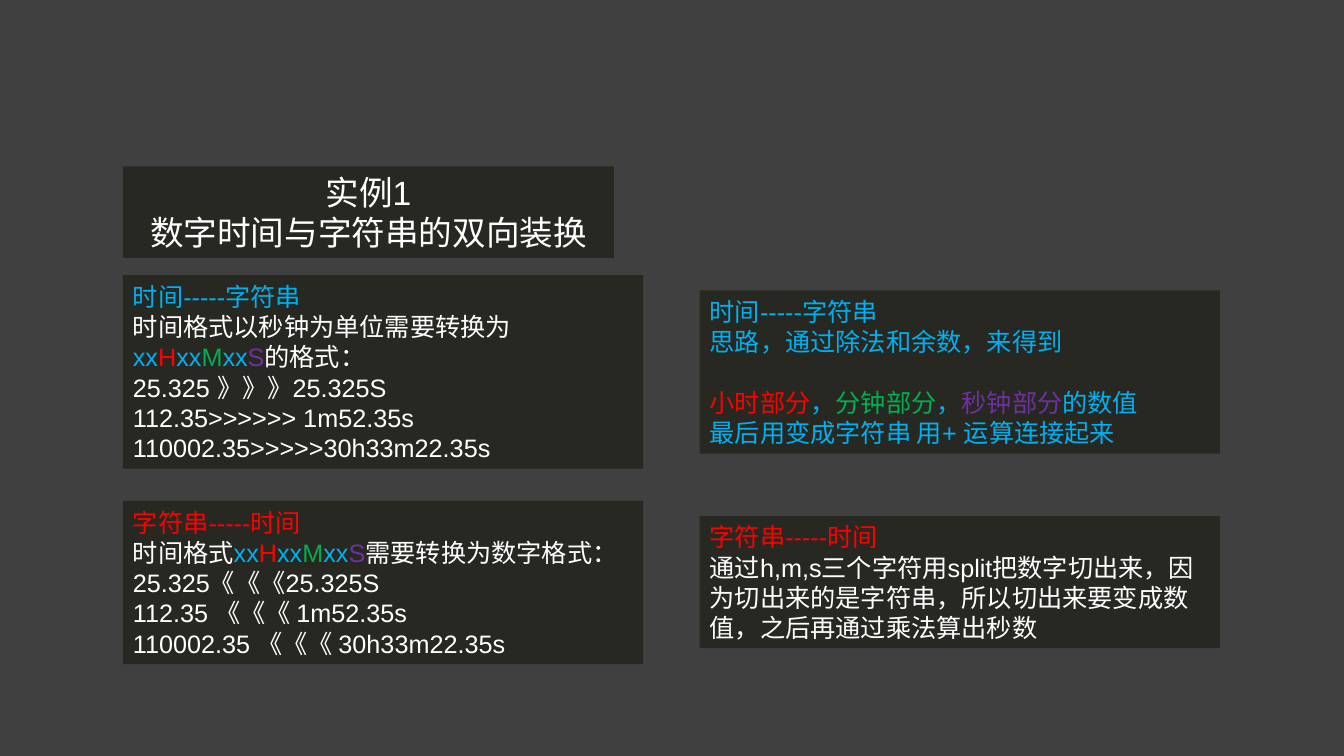
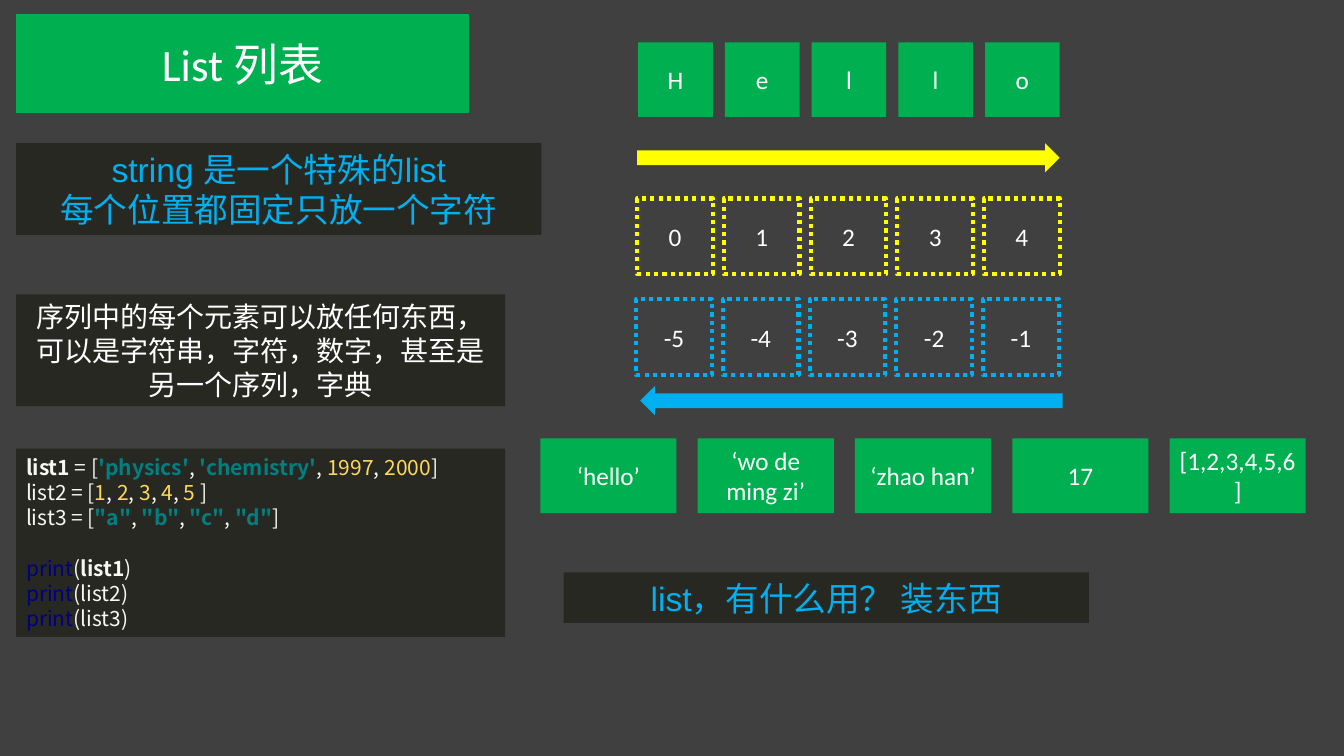
"""Build two slides on time strings and Python lists."""
from dataclasses import dataclass

from pptx import Presentation
from pptx.dml.color import RGBColor
from pptx.enum import dml, shapes, text
from pptx.util import Inches, Pt


@dataclass(frozen=True)
class Theme:
    """Colours, fonts and type sizes shared by the slides."""
    background: str = "404040"
    panel: str = "272822"
    white: str = "FFFFFF"
    blue: str = "00B0F0"
    red: str = "FF0000"
    green: str = "00B050"
    purple: str = "7030A0"
    yellow: str = "FFFF00"
    code: str = "F8F8F2"
    string: str = "008080"
    number: str = "FFD85B"
    keyword: str = "000080"
    heading_font: str = "Arial"
    body_font: str = "Calibri"
    code_font: str = "Noto Sans CJK SC"
    title_size: int = 32
    heading_size: int = 24
    note_size: int = 20
    body_size: int = 18
    code_size: int = 15
    line_factor: float = 1.2


THEME = Theme()
CENTER, LEFT = text.PP_ALIGN.CENTER, text.PP_ALIGN.LEFT
RECTANGLE, ARROW = shapes.MSO_SHAPE.RECTANGLE, shapes.MSO_SHAPE.RIGHT_ARROW
TIME_FORMAT = [("xx", THEME.blue), ("H", THEME.red), ("xx", THEME.blue),
               ("M", THEME.green), ("xx", THEME.blue), ("S", THEME.purple)]


def colour(value):
    """Turn a hex string into a colour."""
    return RGBColor.from_string(value)


def add_block(slide, box, fill=None, outline=None, kind=RECTANGLE):
    """Add a flat shape with an optional fill or dotted outline."""
    shape = slide.shapes.add_shape(kind, *map(Inches, box))
    shape.shadow.inherit = False
    if fill:
        shape.fill.solid()
        shape.fill.fore_color.rgb = colour(fill)
    else:
        shape.fill.background()
    if outline:
        shape.line.color.rgb = colour(outline)
        shape.line.width = Pt(3)
        shape.line.dash_style = dml.MSO_LINE.ROUND_DOT
    else:
        shape.line.fill.background()
    return shape


def format_run(run, font, size, ink, bold=False):
    """Apply type settings to one run."""
    run.font.name = font
    run.font.size = Pt(size)
    run.font.bold = bold
    run.font.color.rgb = colour(ink)


def add_label(slide, box, label, size=THEME.body_size, fill=None, outline=None):
    """Add a block with one centred white label."""
    frame = add_block(slide, box, fill, outline).text_frame
    frame.word_wrap = True
    frame.vertical_anchor = text.MSO_ANCHOR.MIDDLE
    frame.text = label
    paragraph = frame.paragraphs[0]
    paragraph.alignment = CENTER
    format_run(paragraph.runs[0], THEME.body_font, size, THEME.white)


def add_panel(slide, box, lines, size=THEME.body_size, font=THEME.heading_font,
              align=LEFT, gap_before=None):
    """Add a dark panel; each line is a list of (text, colour, bold) runs."""
    frame = add_block(slide, box, THEME.panel).text_frame
    frame.word_wrap = True
    frame.vertical_anchor = text.MSO_ANCHOR.MIDDLE
    pitch = Pt(size * THEME.line_factor)
    for index, runs in enumerate(lines):
        paragraph = frame.add_paragraph() if index else frame.paragraphs[0]
        paragraph.alignment = align
        paragraph.line_spacing = pitch
        if index == gap_before:
            paragraph.space_before = pitch
        for content, *style in runs:
            run = paragraph.add_run()
            run.text = content
            format_run(run, font, size, *style)


def plain(ink, *lines):
    """Give every line one run in the same colour."""
    return [[(line, ink)] for line in lines]


def add_row(slide, box, pitch, labels, **style):
    """Repeat a labelled cell to the right at an equal pitch."""
    left, top, width, height = box
    for index, label in enumerate(labels):
        add_label(slide, (left + index * pitch, top, width, height), label, **style)


def add_index_diagram(slide, left, top):
    """Show a word with its forward and backward indexes."""
    pitch, side = 0.86, 0.75
    add_row(slide, (left + 0.01, top, 0.74, 0.74), pitch, "Hello", fill=THEME.green)
    add_block(slide, (left, top + 1, 4.19, 0.29), THEME.yellow, kind=ARROW)
    add_row(slide, (left, top + 1.55, side, side), pitch,
            map(str, range(5)), outline=THEME.yellow)
    add_row(slide, (left - 0.01, top + 2.55, side, side), pitch,
            map(str, range(-5, 0)), outline=THEME.blue)
    back = add_block(slide, (left + 0.03, top + 3.41, 4.19, 0.29), THEME.blue, kind=ARROW)
    back.rotation = 180


def assignment(name, values, ink, bold_name=False):
    """Build the coloured runs of a list assignment."""
    runs = [(name, THEME.code, bold_name), (" = [", THEME.code)]
    for index, value in enumerate(values):
        if index:
            runs.append((", ", THEME.code))
        value_ink = THEME.string if value[0] in "'\"" else ink
        runs.append((value, value_ink, value_ink == THEME.string))
    return runs + [("]", THEME.code)]


def print_call(name, bold=False):
    """Build the coloured runs of a print call."""
    return [("print", THEME.keyword), ("(", THEME.code),
            (name, THEME.code, bold), (")", THEME.code)]


def add_code(slide, box):
    """Add the code sample."""
    lines = [
        assignment("list1", ["'physics'", "'chemistry'", "1997", "2000"],
                   THEME.number, True),
        assignment("list2", ["1", "2", "3", "4", "5 "], THEME.number),
        assignment("list3", ['"a"', '"b"', '"c"', '"d"'], THEME.string),
        print_call("list1", True), print_call("list2"), print_call("list3"),
    ]
    add_panel(slide, box, lines, THEME.code_size, THEME.code_font, gap_before=3)


def build_time_slide(slide):
    """Explain conversion between numeric time and strings."""
    left, right, width = 1.22, 6.94, 5.16
    to_text = plain(THEME.blue, "时间-----字符串")
    to_time = plain(THEME.red, "字符串-----时间")
    add_panel(slide, (left, 1.65, 4.87, 0.91),
              plain(THEME.white, "实例1", "数字时间与字符串的双向装换"),
              THEME.heading_size, align=CENTER)
    add_panel(slide, (left, 2.73, width, 1.92), to_text + [
        [("时间格式以秒钟为单位需要转换为 ", THEME.white), *TIME_FORMAT,
         ("的格式:".replace(":", "："), THEME.white)],
    ] + plain(THEME.white, "25.325 》》》25.325S", "112.35>>>>>> 1m52.35s",
              "110002.35>>>>>30h33m22.35s"))
    add_panel(slide, (left, 4.97, width, 1.62), to_time + [
        [("时间格式", THEME.white), *TIME_FORMAT, ("需要转换为数字格式：", THEME.white)],
    ] + plain(THEME.white, "25.325《《《25.325S", "112.35 《《《 1m52.35s",
              "110002.35 《《《 30h33m22.35s"))
    add_panel(slide, (right, 2.88, width, 1.62), to_text
              + plain(THEME.blue, "思路，通过除法和余数，来得到") + [
        [("小时部分", THEME.red), ("，", THEME.blue), ("分钟部分", THEME.green),
         ("，", THEME.blue), ("秒钟部分", THEME.purple), ("的数值", THEME.blue)],
    ] + plain(THEME.blue, "最后用变成字符串 用+ 运算连接起来"), gap_before=2)
    add_panel(slide, (right, 5.12, width, 1.31), to_time + plain(
        THEME.white, "通过h,m,s三个字符用split把数字切出来，因为切出来的是字符串，"
        "所以切出来要变成数值，之后再通过乘法算出秒数"))


def build_list_slide(slide):
    """Introduce lists, indexes and mixed elements."""
    left, width = 0.16, 4.85
    add_label(slide, (left, 0.14, 4.49, 0.98), "List 列表", THEME.title_size, THEME.green)
    add_panel(slide, (left, 1.42, 5.21, 0.91),
              plain(THEME.blue, "string 是一个特殊的list", "每个位置都固定只放一个字符"),
              THEME.heading_size, align=CENTER)
    add_panel(slide, (left, 2.92, width, 1.11), plain(
        THEME.white, "序列中的每个元素可以放任何东西，可以是字符串，字符，数字，"
        "甚至是另一个序列，字典"), THEME.note_size, THEME.body_font, CENTER)
    add_code(slide, (left, 4.45, width, 1.87))
    add_index_diagram(slide, 6.32, 0.42)
    add_row(slide, (5.36, 4.35, 1.35, 0.74), 1.56,
            ["‘hello’", "‘wo de ming zi’", "‘zhao han’", "17", "[1,2,3,4,5,6]"],
            fill=THEME.green)
    add_panel(slide, (5.59, 5.68, 5.21, 0.5),
              plain(THEME.blue, "list，有什么用？ 装东西"),
              THEME.heading_size, align=CENTER)


def main():
    """Create and save the presentation."""
    presentation = Presentation()
    presentation.slide_width, presentation.slide_height = Inches(13.33), Inches(7.5)
    background = presentation.slide_master.background.fill
    background.solid()
    background.fore_color.rgb = colour(THEME.background)
    for build in (build_time_slide, build_list_slide):
        build(presentation.slides.add_slide(presentation.slide_layouts[6]))
    presentation.save("out.pptx")


main()
